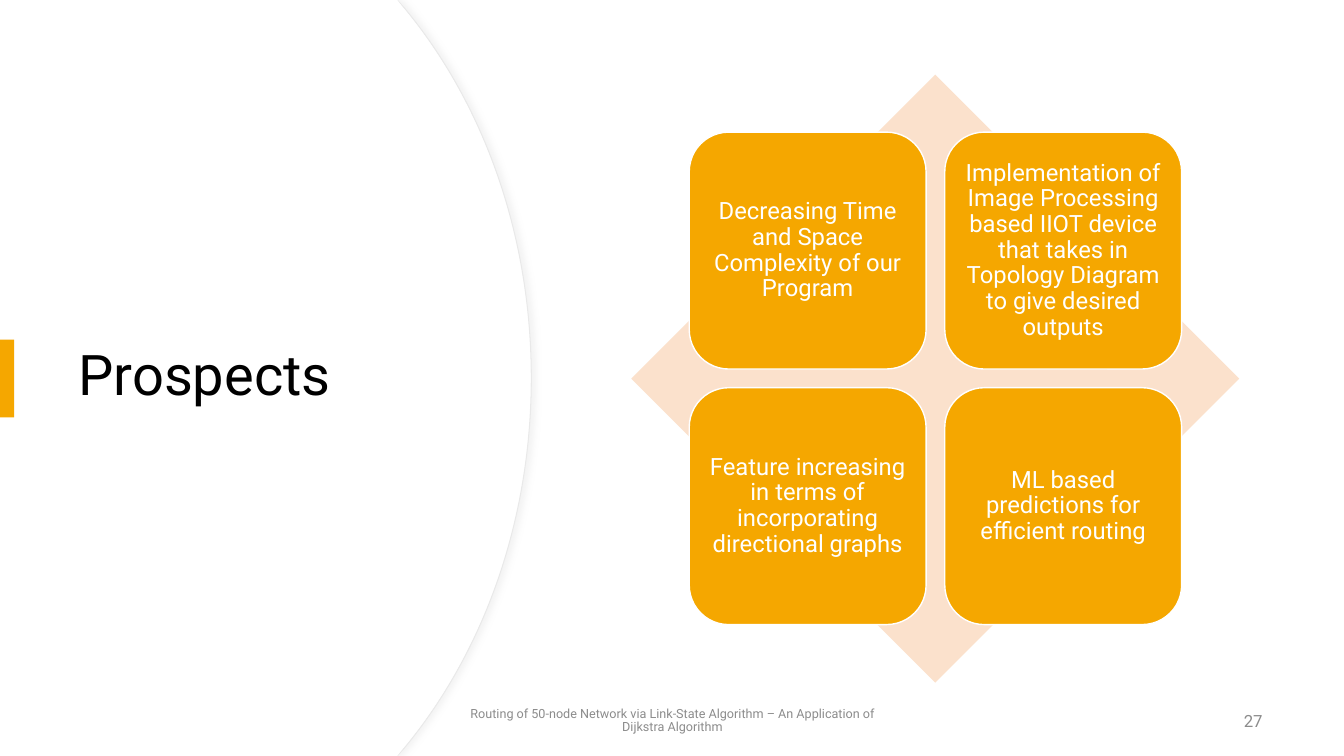
from lxml import etree
from pptx import Presentation
from pptx.dml.color import RGBColor
from pptx.enum.shapes import MSO_SHAPE
from pptx.enum.text import MSO_ANCHOR, PP_ALIGN
from pptx.oxml import parse_xml
from pptx.oxml.ns import nsdecls, qn
from pptx.util import Cm, Pt

RECTANGLE = MSO_SHAPE.RECTANGLE
DIAMOND = MSO_SHAPE.DIAMOND
ROUNDED = MSO_SHAPE.ROUNDED_RECTANGLE
MIDDLE = MSO_ANCHOR.MIDDLE
LEFT, CENTER, RIGHT = PP_ALIGN.LEFT, PP_ALIGN.CENTER, PP_ALIGN.RIGHT

WHITE, BLACK, GRAY = "FFFFFF", "000000", "8C8C8C"
ORANGE, PEACH, EDGE, SHADE = "F5A700", "FBE1CC", "E9E9E9", "D9D9D9"
SLIDE_WIDTH, SLIDE_HEIGHT = 33.87, 19.05


def color(value):
    return RGBColor.from_string(value)


def write(shape, text, size=12, ink=BLACK, align=LEFT, spacing=0.9, font="Roboto", inset=None):
    frame = shape.text_frame
    frame.word_wrap = True
    frame.vertical_anchor = MIDDLE
    if inset is not None:
        frame.margin_left = frame.margin_right = Cm(inset)
        frame.margin_top = frame.margin_bottom = Cm(inset)
    para = frame.paragraphs[0]
    para.alignment = align
    para.line_spacing = spacing
    span = para.add_run()
    span.text = text
    span.font.name = font
    span.font.size = Pt(size)
    span.font.color.rgb = color(ink)


def bend(shape, first, last):
    lines = list(shape.element.iter(qn("a:lnTo")))[first:last]
    for start in range(0, len(lines), 3):
        curve = etree.Element(qn("a:cubicBezTo"))
        lines[start].addprevious(curve)
        for line in lines[start:start + 3]:
            curve.append(line[0])
            line.getparent().remove(line)


class SlideBuilder:
    def __init__(self, deck):
        self.slide = deck.slides.add_slide(deck.slide_layouts[6])

    def style(self, shape, fill, line=None, width=1):
        shape.shadow.inherit = False
        shape.element.remove(shape.element.find(qn("p:style")))
        shape.fill.solid()
        shape.fill.fore_color.rgb = color(fill)
        if line:
            shape.line.color.rgb = color(line)
            shape.line.width = Pt(width)
        else:
            shape.line.fill.background()
        return shape

    def shape(self, kind, left, top, width, height, fill, line=None):
        box = self.slide.shapes.add_shape(kind, Cm(left), Cm(top), Cm(width), Cm(height))
        return self.style(box, fill, line)

    def text(self, left, top, width, height, text, **format):
        box = self.slide.shapes.add_textbox(Cm(left), Cm(top), Cm(width), Cm(height))
        write(box, text, **format)

    def panel(self, shift=0, line=None):
        upper = [(10.01, 0)] + [
            (x + shift, y) for x, y in ((10.16, 0.2), (12.14, 2.59), (13.36, 5.89))
        ]
        lower = [(x, SLIDE_HEIGHT - y) for x, y in reversed(upper)]
        outline = upper + [(13.36 + shift, SLIDE_HEIGHT / 2)] + lower + [(0, SLIDE_HEIGHT)]
        builder = self.slide.shapes.build_freeform(0, 0)
        builder.add_line_segments([(Cm(x), Cm(y)) for x, y in outline], close=True)
        panel = builder.convert_to_shape()
        bend(panel, 2, 8)
        return self.style(panel, WHITE, line, 0.75)

    def cast_shadow(self, shape, value, opacity, blur, distance):
        effects = shape.element.spPr.find(qn("a:effectLst"))
        effects.append(parse_xml(
            f'<a:outerShdw {nsdecls("a")} blurRad="{Pt(blur)}" dist="{Pt(distance)}" dir="0"'
            f' algn="l" rotWithShape="0"><a:srgbClr val="{value}">'
            f'<a:alpha val="{opacity * 1000}"/></a:srgbClr></a:outerShdw>'
        ))


deck = Presentation()
deck.slide_width, deck.slide_height = Cm(SLIDE_WIDTH), Cm(SLIDE_HEIGHT)
page = SlideBuilder(deck)

rim = page.panel(shift=0.03, line=EDGE)
page.cast_shadow(rim, SHADE, opacity=30, blur=4, distance=3)
page.panel()
page.text(1.73, 3.23, 10, 12.57, "Prospects", size=40)
page.shape(RECTANGLE, 0, 8.56, 0.36, 1.96, ORANGE)

page.text(
    11.23, 17.66, 11.43, 1.02,
    "Routing of 50-node Network via Link-State Algorithm – An Application of Dijkstra Algorithm",
    size=9, ink=GRAY, align=CENTER,
)
page.text(24.45, 17.66, 7.62, 1.02, "27", ink=GRAY, align=RIGHT, spacing=1)

page.shape(DIAMOND, 15.91, 1.88, 15.32, 15.32, PEACH)
GRID_LEFT, GRID_TOP, CARD, PITCH = 17.37, 3.33, 5.97, 6.44
PROSPECTS = [
    "Decreasing Time and Space Complexity of our Program",
    "Implementation of Image Processing based IIOT device that takes in "
    "Topology Diagram to give desired outputs",
    "Feature increasing in terms of incorporating directional graphs",
    "ML based predictions for efficient routing",
]
for index, prospect in enumerate(PROSPECTS):
    row, column = divmod(index, 2)
    card = page.shape(
        ROUNDED, GRID_LEFT + column * PITCH, GRID_TOP + row * PITCH, CARD, CARD, ORANGE, WHITE
    )
    write(card, prospect, size=17, ink=WHITE, align=CENTER, inset=0.18)

deck.save("out.pptx")
